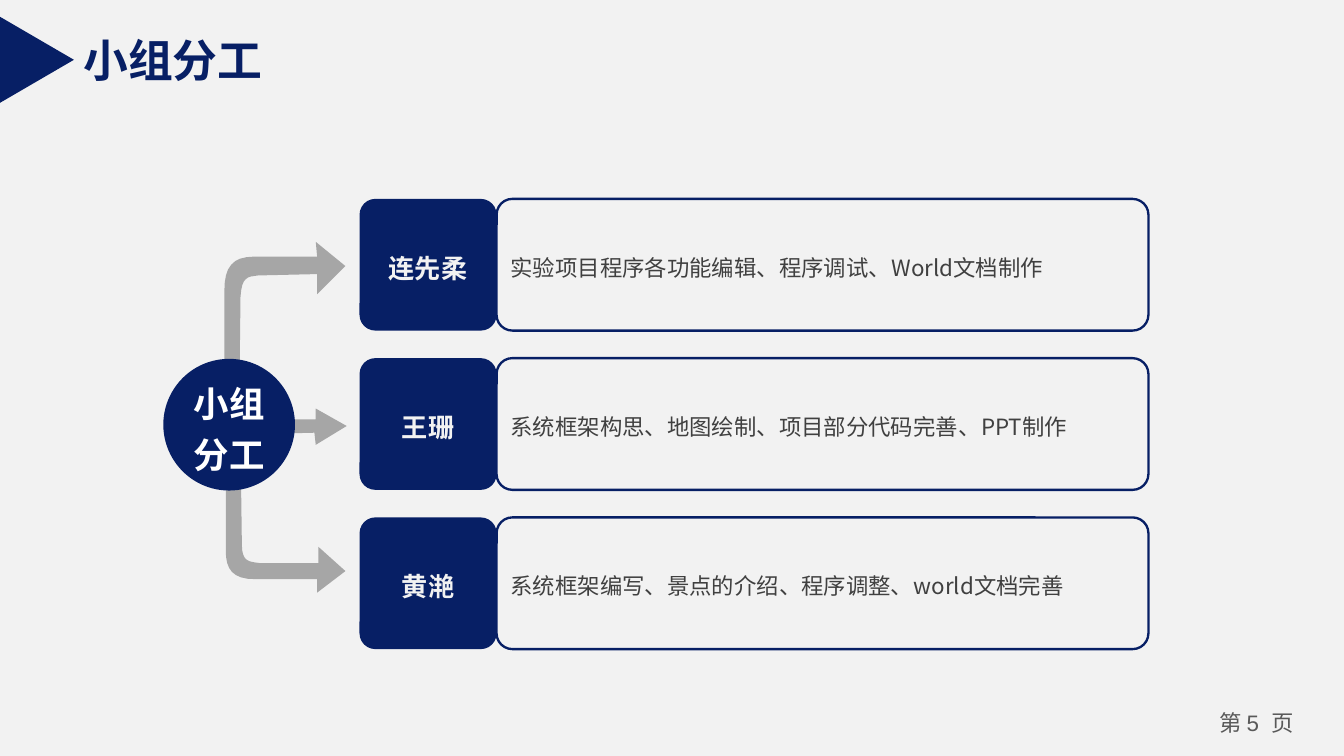
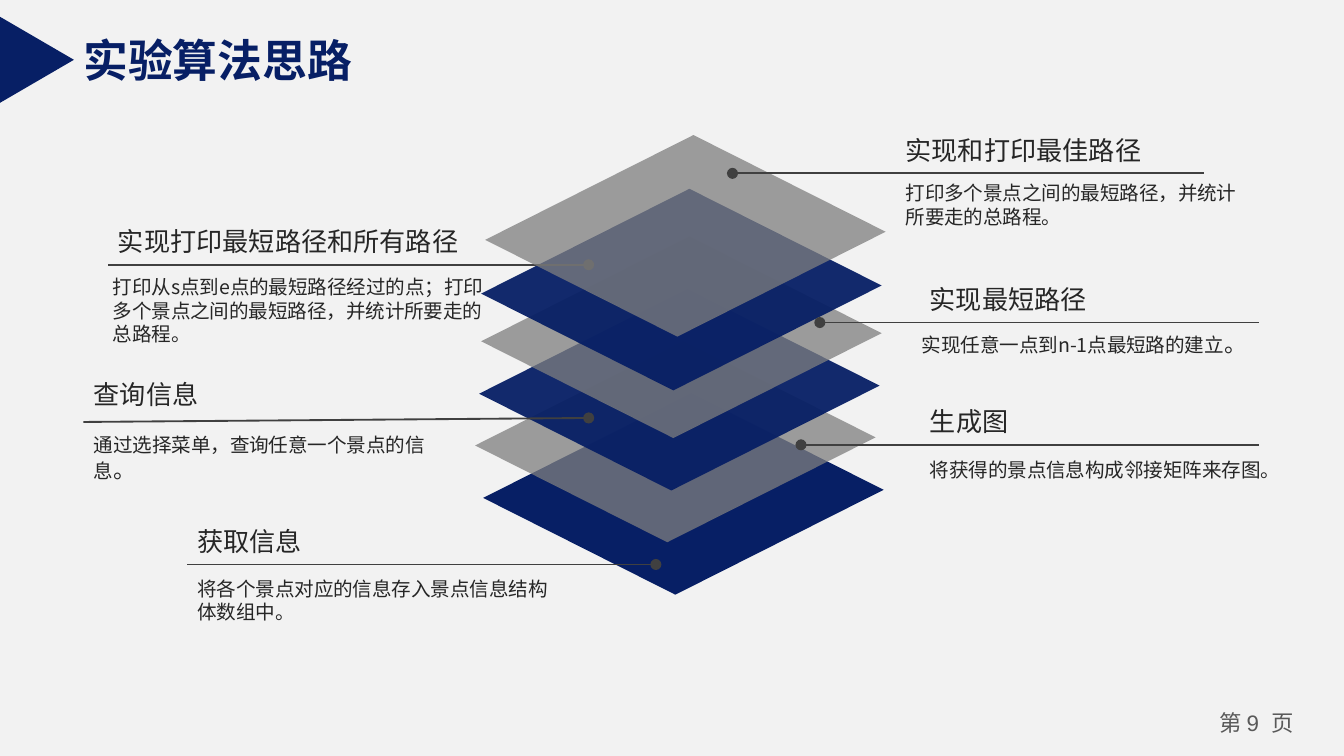
from lxml import etree
from pptx import Presentation
from pptx import util as u
from pptx.dml.color import RGBColor
from pptx.enum import shapes, text
from pptx.oxml import ns

COLORS = {
    "navy": "071F65", "paper": "F2F2F2", "white": "FFFFFF", "arrow": "A6A6A6",
    "plate": "7F7F7F", "rule": "404040", "ink": "262626", "footer": "595959",
}
LATIN, CJK = "Arial", "Noto Sans CJK SC"
CENTER, LEFT = text.PP_ALIGN.CENTER, text.PP_ALIGN.LEFT
PRESET = shapes.MSO_SHAPE

presentation = Presentation()
presentation.slide_width = u.Inches(10)
presentation.slide_height = presentation.slide_width * 9 // 16
CELL = presentation.slide_width // 100  # square grid, 100 columns wide
master_fill = presentation.slide_master.background.fill
master_fill.solid()
master_fill.fore_color.rgb = RGBColor.from_string(COLORS["paper"])


def add_block(slide, outline, at=None, fill=None, line=None, opacity=100):
    """Add a preset at (left, top, width, height), or a closed outline of points, in cells."""
    if at:
        shape = slide.shapes.add_shape(outline, *[round(n * CELL) for n in at])
    else:
        points = [(x * 100, y * 100) for x, y in outline]
        builder = slide.shapes.build_freeform(*points[0], scale=CELL / 100)
        builder.add_line_segments(points[1:], close=True)
        shape = builder.convert_to_shape()
    shape.shadow.inherit = False
    if fill:
        shape.fill.solid()
        shape.fill.fore_color.rgb = RGBColor.from_string(COLORS[fill])
        if opacity < 100:
            color = shape.fill._xPr.find(".//" + ns.qn("a:srgbClr"))
            etree.SubElement(color, ns.qn("a:alpha"), val=str(opacity * 1000))
    else:
        shape.fill.background()
    if line:
        shape.line.color.rgb = RGBColor.from_string(COLORS[line])
        shape.line.width = u.Pt(1.25)
    else:
        shape.line.fill.background()
    return shape


def write(shape, runs, color, align=LEFT, bold=False, margins=(1, 0.5), spacing=None,
          anchor=text.MSO_ANCHOR.TOP, wrap=True):
    """Fill a shape with one paragraph of (words, size, font) runs; margins in cells."""
    frame = shape.text_frame
    frame.word_wrap, frame.vertical_anchor = wrap, anchor
    frame.margin_left = frame.margin_right = round(margins[0] * CELL)
    frame.margin_top = frame.margin_bottom = round(margins[1] * CELL)
    paragraph = frame.paragraphs[0]
    paragraph.alignment = align
    if spacing:
        paragraph.line_spacing = spacing
    for words, size, font in runs:
        run = paragraph.add_run()
        run.text = words
        run.font.size, run.font.name, run.font.bold = u.Pt(size), font, bold
        run.font.color.rgb = RGBColor.from_string(COLORS[color])
        etree.SubElement(run.font._element, ns.qn("a:ea"), typeface=CJK)


# Shared title, marker and page number
slides = []
for title, title_width, page in (("小组分工", 15.5, "5"), ("实验算法思路", 22.2, "9")):
    slide = presentation.slides.add_slide(presentation.slide_layouts[5])
    slides.append(slide)
    heading = slide.shapes.title
    heading.left, heading.top, heading.width, heading.height = [
        round(n * CELL) for n in (5.2, 1.9, title_width, 5)]
    write(heading, [(title, 24, LATIN)], "navy", bold=True, wrap=False,
          anchor=text.MSO_ANCHOR.MIDDLE)
    marker = add_block(slide, PRESET.ISOSCELES_TRIANGLE, (-0.45, 1.7, 6.4, 5.5), "navy")
    marker.rotation = 90
    footer = slide.shapes.add_textbox(*[round(n * CELL) for n in (89, 52.4, 9, 3)])
    write(footer, [("第 ", 12, CJK), (f"{page}  ", 12, LATIN), ("页", 12, CJK)], "footer",
          CENTER, margins=(0.7, 0.4))

team_slide, algorithm_slide = slides

# Arrows from the hub: pairs are corners, sextets are Bézier curves
arrows = [
    [(17.9, 33.1), (18, 40.5), (18, 41.8, 18.5, 41.8, 19.3, 41.9), (23.7, 41.9),
     (23.7, 40.7), (25.7, 42.5), (23.6, 44.1), (23.6, 43.1), (19, 43.1),
     (17.3, 43.1, 16.8, 42.4, 16.8, 40.9), (16.8, 32.9),
     (16.9, 31.6, 17.6, 31.7, 17.9, 33.1)],
    [(15.1, 32.4), (23.4, 32.2), (23.5, 33.1), (25.8, 31.7), (23.5, 30.4),
     (23.5, 31.2), (15.1, 31.2)],
    [(17.8, 30.7), (17.9, 22.1), (18, 20.6, 18.4, 20.6, 19.2, 20.5), (23.6, 20.4),
     (23.6, 21.9), (25.7, 19.8), (23.5, 18), (23.6, 19.1), (18.9, 19.1),
     (17.3, 19.1, 16.7, 19.9, 16.7, 21.6), (16.7, 30.9),
     (16.9, 32.4, 17.6, 32.3, 17.8, 30.7)],
]
for arrow in arrows:
    outline = []
    for step in arrow:
        if len(step) == 2:
            outline.append(step)
            continue
        controls = [outline[-1], step[:2], step[2:4], step[4:]]
        for t in [n / 8 for n in range(1, 9)]:
            weights = ((1 - t) ** 3, 3 * t * (1 - t) ** 2, 3 * t ** 2 * (1 - t), t ** 3)
            outline.append(tuple(sum(w * c[axis] for w, c in zip(weights, controls))
                                 for axis in (0, 1)))
    add_block(team_slide, outline, fill="arrow")

# Team members and their tasks
boxed = {"margins": (0.7, 0.3), "spacing": 1.2, "anchor": text.MSO_ANCHOR.MIDDLE}
members = [
    ("连先柔", "实验项目程序各功能编辑、程序调试、World文档制作"),
    ("王珊", "系统框架构思、地图绘制、项目部分代码完善、PPT制作"),
    ("黄滟", "系统框架编写、景点的介绍、程序调整、world文档完善"),
]
for row, (name, task) in enumerate(members):
    top = 14.8 + row * 11.85
    task_box = add_block(team_slide, PRESET.ROUNDED_RECTANGLE, (36.95, top, 48.5, 9.8),
                         line="navy")
    name_box = add_block(team_slide, PRESET.ROUNDED_RECTANGLE, (26.75, top, 10.2, 9.8), "navy")
    task_box.adjustments[0] = name_box.adjustments[0] = 0.12
    write(task_box, [(task, 12, CJK)], "rule", **boxed)
    write(name_box, [(name, 14, CJK)], "paper", CENTER, True, **boxed)
hub = add_block(team_slide, PRESET.OVAL, (12.15, 26.7, 9.8, 9.8), "navy")
write(hub, [("小组分工", 19, LATIN)], "white", CENTER, True, **boxed)

# Stacked plates, bottom to top: centre x, centre y, colour, opacity
plates = [
    (50.85, 36.75, "navy", 100), (50.25, 32.85, "plate", 75), (50.55, 29, "navy", 95),
    (50.7, 25.1, "plate", 75), (50.7, 21.55, "navy", 95), (51, 17.55, "plate", 75),
]
plate_corners = ((0.6, -7.5), (14.9, -0.3), (-0.6, 7.5), (-14.9, 0.3))

# Callouts: title, left, width; body runs, left, top, width; line start and end
callouts = [
    ("实现打印最短路径和所有路径", 7.8, 28.7,
     [("打印从s点到e点的最短路径经过的点；打印多个景点之间的最短路径，并统计所要走的总路程。", 10.5, CJK)],
     7.4, 20, 30.5, (43.8, 19.7), (8, 19.7)),
    ("实现最短路径", 68.2, 20.3,
     [("实现任意一点到n-1点最短路的建立", 10.5, CJK), ("。", 12, CJK)],
     67.6, 24.1, 28.5, (61, 24), (93.7, 24)),
    ("生成图", 68.2, 18.8,
     [("将获得的景点信息构成邻接矩阵来存图。", 10.5, CJK)],
     68.2, 33.6, 27.3, (59.6, 33.1), (93.7, 33.1)),
    ("查询信息", 6, 16.7,
     [("通过选择菜单，查询任意一个景点的信息", 10.5, CJK), ("。", 12, CJK)],
     6, 31.7, 27.1, (43.8, 31.1), (6.2, 31.4)),
    ("获取信息", 13.7, 18.4,
     [("将各个景点对应的信息存入景点信息结构体数组中。", 10.5, CJK)],
     13.7, 42.4, 28.7, (48.8, 42), (13.9, 42)),
    ("实现和打印最佳路径", 66.4, 20.3,
     [("打印多个景点之间的最短路径，并统计所要走的总路程。", 10.5, CJK)],
     66.4, 13, 27.3, (54.5, 12.9), (89.6, 12.9)),
]

# The top plate covers every callout but its own
layers = plates[:5] + callouts[:5] + plates[5:] + callouts[5:]
for layer in layers:
    if layer in plates:
        x, y, color, opacity = layer
        add_block(algorithm_slide, [(x + dx, y + dy) for dx, dy in plate_corners],
                  fill=color, opacity=opacity)
        continue
    title, title_left, title_width, body, body_left, body_top, body_width, start, end = layer
    for runs, at in (
        (body, (body_left, body_top, body_width, 4.5)),
        ([(title, 14, CJK)], (title_left, start[1] - 3.4, title_width, 3.4)),
    ):
        box = algorithm_slide.shapes.add_textbox(*[round(n * CELL) for n in at])
        write(box, runs, "ink")
    rule = algorithm_slide.shapes.add_connector(
        shapes.MSO_CONNECTOR.STRAIGHT, *[round(n * CELL) for n in start + end])
    rule.line.color.rgb = RGBColor.from_string(COLORS["rule"])
    rule.line.width = u.Pt(1)
    etree.SubElement(rule.line._get_or_add_ln(), ns.qn("a:headEnd"), type="oval")
    etree.SubElement(rule._element.spPr, ns.qn("a:effectLst"))

presentation.save("out.pptx")
